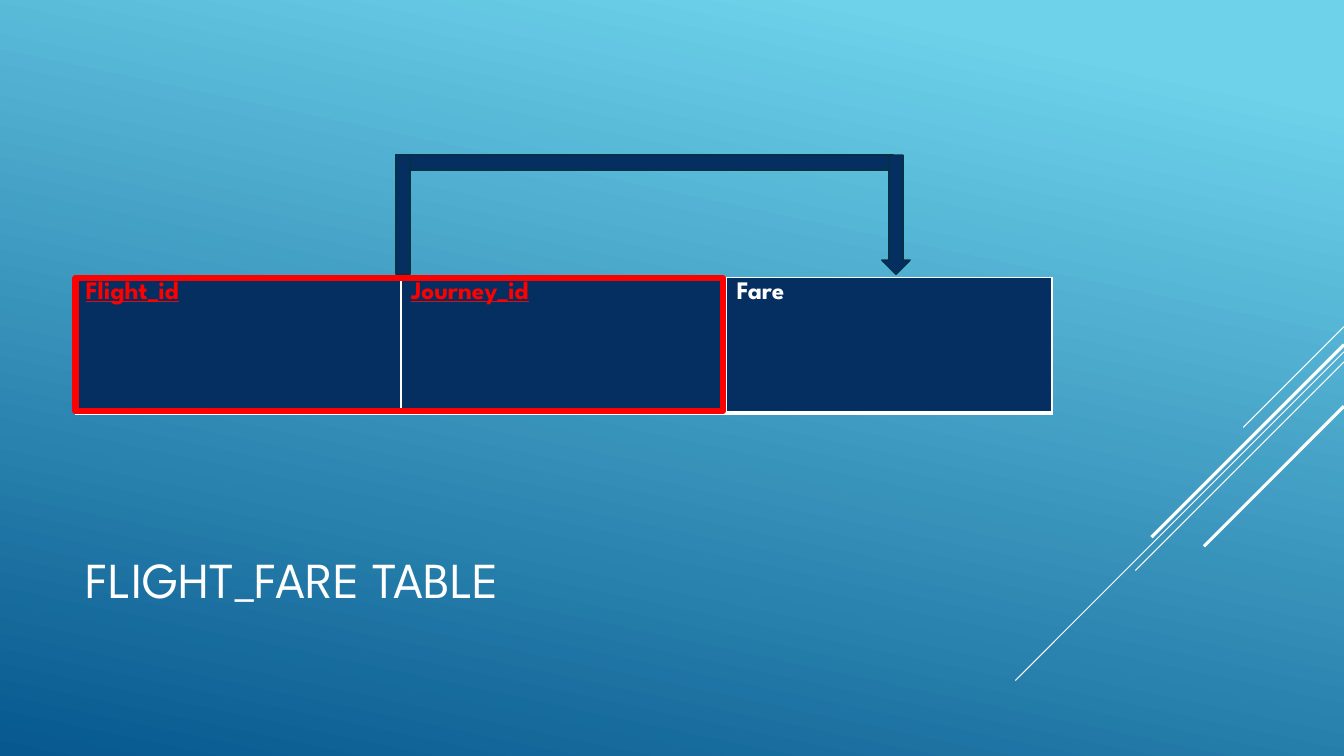
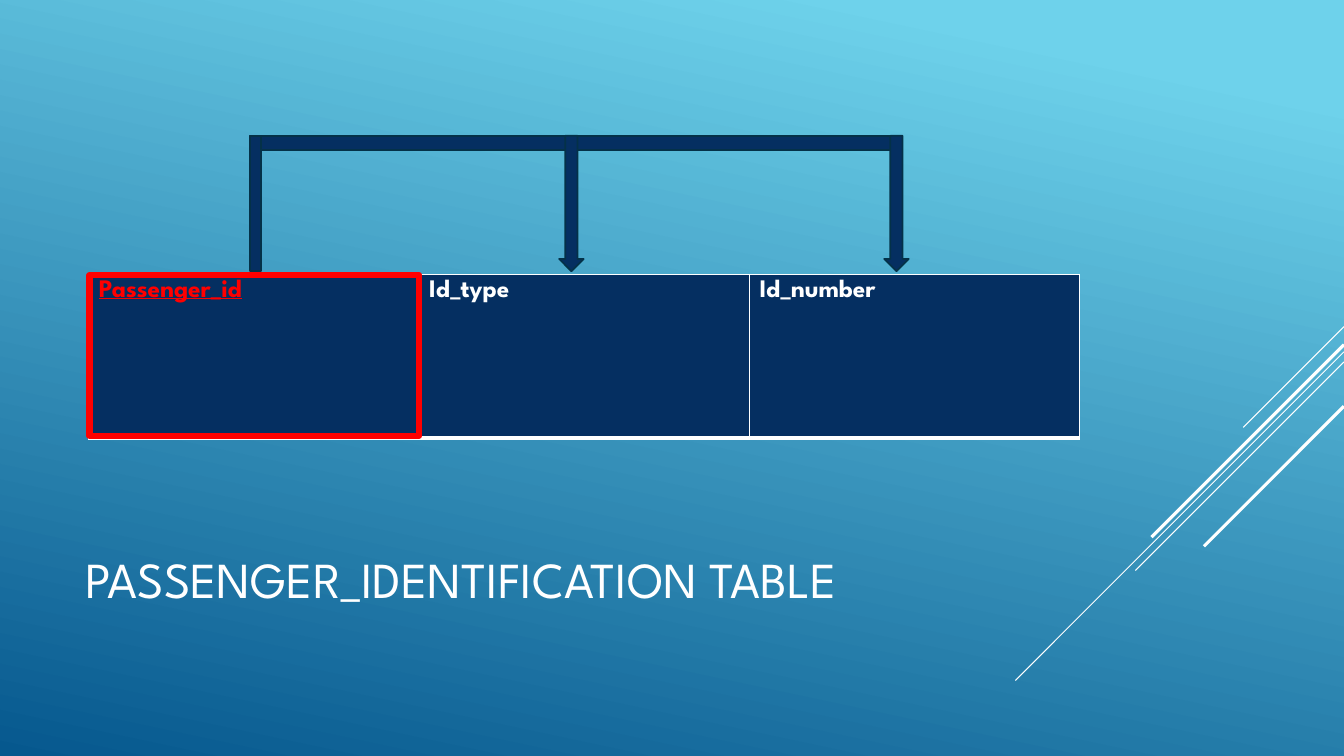
from lxml.etree import SubElement
from pptx import Presentation
from pptx.dml.color import RGBColor
from pptx.enum.shapes import MSO_CONNECTOR as CONN, MSO_SHAPE as SHAPE
from pptx.enum.text import MSO_ANCHOR as ANCHOR
from pptx.oxml.ns import qn
from pptx.util import Pt

FONT = "League Spartan"
SKY = RGBColor(0x6E, 0xD2, 0xEB)
DEEP = RGBColor(0x06, 0x58, 0x8E)
NAVY = RGBColor(0x05, 0x2F, 0x61)
EDGE = RGBColor(0x04, 0x31, 0x48)
RED = RGBColor(0xFF, 0x00, 0x00)
WHITE = RGBColor(0xFF, 0xFF, 0xFF)

SLIDE_W, SLIDE_H = 960, 540
# Diagonals from the right edge: start y, horizontal run, line width
DIAGONALS = [(233.3, 72, 0.75), (251.3, 234.7, 0.75), (258.5, 149, 0.75),
             (246.2, 137.5, 2.25), (290.2, 100, 2.25)]


def write(tf, text, size=18, color=WHITE, bold=False, underline=False):
    r = tf.paragraphs[0].add_run()
    r.text = text
    r.font.name = FONT
    r.font.size = Pt(size)
    r.font.color.rgb = color
    r.font.bold = bold
    r.font.underline = underline


def add_diagonal(slide, y, run, width):
    line = slide.shapes.add_connector(
        CONN.STRAIGHT, Pt(SLIDE_W), Pt(y), Pt(SLIDE_W - run), Pt(y + run))
    line.line.color.rgb = WHITE
    line.line.width = Pt(width)
    SubElement(line._element.spPr, qn("a:effectLst"))


def add_base(prs, title):
    """Blank slide with gradient, diagonals and title."""
    slide = prs.slides.add_slide(prs.slide_layouts[6])
    fill = slide.background.fill
    fill.gradient()
    fill.gradient_angle = 258
    for stop, color, pos in zip(fill.gradient_stops, (SKY, DEEP), (0.1, 1)):
        stop.color.rgb = color
        stop.position = pos
    for diagonal in DIAGONALS:
        add_diagonal(slide, *diagonal)
    tf = slide.shapes.add_textbox(Pt(54), Pt(353.5), Pt(672), Pt(119)).text_frame
    tf.word_wrap = True
    tf.vertical_anchor = ANCHOR.MIDDLE
    write(tf, title, size=36)
    return slide


def add_shape(slide, kind, x, y, w, h, fill=NAVY, line=EDGE, width=1.25):
    sp = slide.shapes.add_shape(kind, Pt(x), Pt(y), Pt(w), Pt(h))
    sp.shadow.inherit = False
    if fill is None:
        sp.fill.background()
    else:
        sp.fill.solid()
        sp.fill.fore_color.rgb = fill
    sp.line.color.rgb = line
    sp.line.width = Pt(width)
    return sp


def set_borders(cell):
    tcPr = cell._tc.get_or_add_tcPr()
    for side, width in (("L", 1), ("R", 1), ("T", 1), ("B", 3)):
        ln = SubElement(tcPr, qn(f"a:ln{side}"), w=str(Pt(width)))
        SubElement(SubElement(ln, qn("a:solidFill")), qn("a:srgbClr"), val=str(WHITE))


def add_columns(slide, names, keys, x, y, col_w, h):
    """One-row table; the first `keys` columns form the primary key."""
    table = slide.shapes.add_table(
        1, len(names), Pt(x), Pt(y), Pt(col_w * len(names)), Pt(h)).table
    table.first_row = table.horz_banding = False
    for i, name in enumerate(names):
        table.columns[i].width = Pt(col_w)
        cell = table.cell(0, i)
        set_borders(cell)
        cell.fill.solid()
        cell.fill.fore_color.rgb = NAVY
        is_key = i < keys
        write(cell.text_frame, name, color=RED if is_key else WHITE,
              bold=True, underline=is_key)


def add_dependency(slide, x, y, bar_w, bar_h, post_w, h, arrow_xs, arrow_w):
    """Bar with a post on the key and an arrow to each dependent column."""
    add_shape(slide, SHAPE.RECTANGLE, x, y, bar_w, bar_h)
    add_shape(slide, SHAPE.RECTANGLE, x, y, post_w, h)
    for arrow_x in arrow_xs:
        add_shape(slide, SHAPE.DOWN_ARROW, arrow_x, y, arrow_w, h)


def add_key_frame(slide, x, y, w, h):
    sp = add_shape(slide, SHAPE.RECTANGLE, x, y, w, h, fill=None, line=RED, width=4.5)
    SubElement(sp.line._get_or_add_ln(), qn("a:round"))


def main():
    prs = Presentation()
    prs.slide_width, prs.slide_height = Pt(SLIDE_W), Pt(SLIDE_H)

    # Flight fare
    s = add_base(prs, "FLIGHT_FARE TABLE")
    add_columns(s, ["Flight_id", "Journey_id", "Fare"], keys=2,
                x=54, y=198, col_w=232.5, h=97)
    add_dependency(s, x=282.8, y=110.8, bar_w=355, bar_h=10.8, post_w=10,
                   h=85, arrow_xs=[630], arrow_w=20)
    add_key_frame(s, 54, 198.7, 462.4, 95)

    # Passenger identification
    s = add_base(prs, "PASSENGER_IDENTIFICATION TABLE")
    add_columns(s, ["Passenger_id", "Id_type", "Id_number"], keys=1,
                x=63.4, y=196, col_w=236, h=117)
    add_dependency(s, x=178.5, y=97, bar_w=461.5, bar_h=10.3, post_w=8,
                   h=96.7, arrow_xs=[399.4, 631.6], arrow_w=17.5)
    add_key_frame(s, 64, 196.6, 235.4, 114.7)

    prs.save("out.pptx")


if __name__ == "__main__":
    main()
